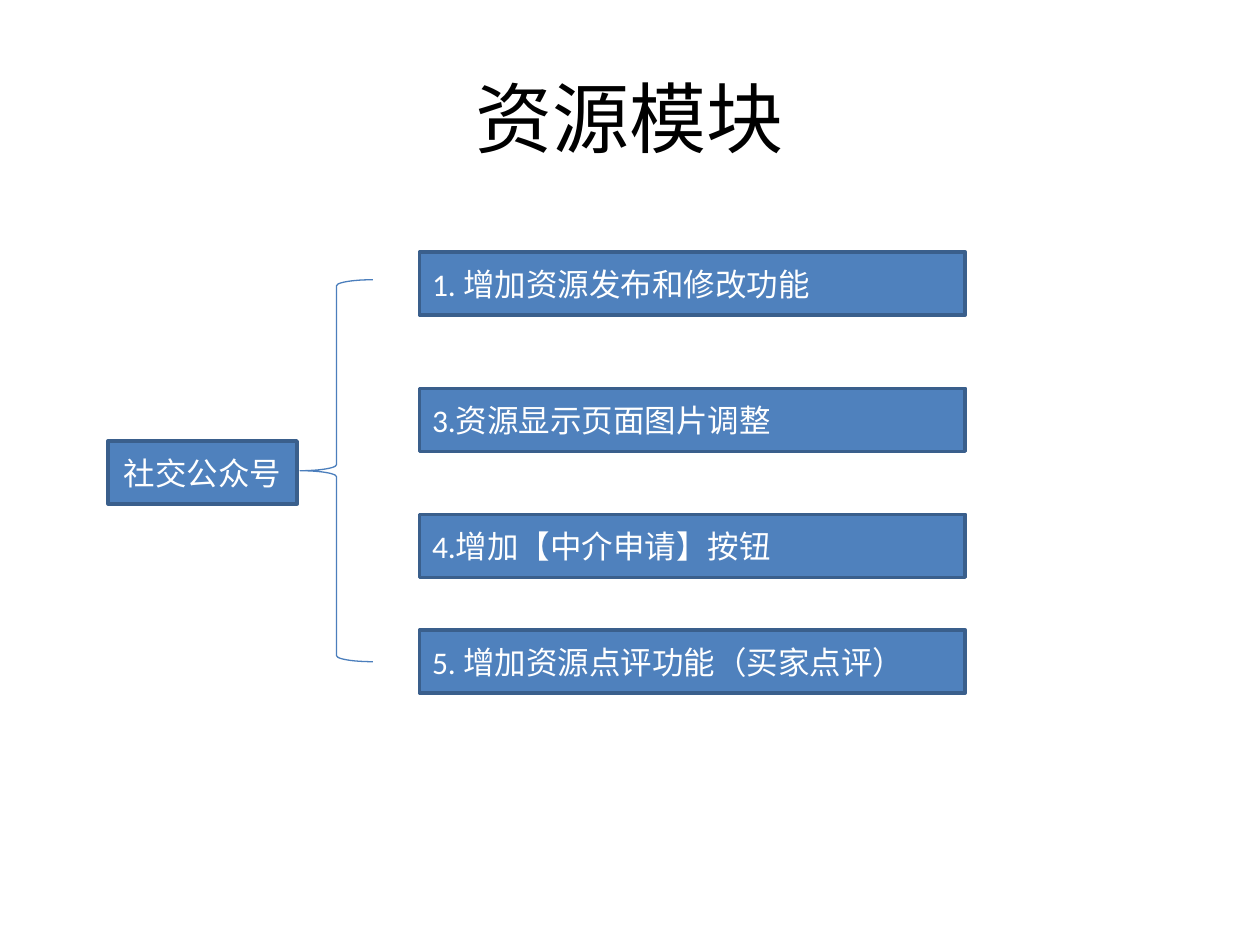
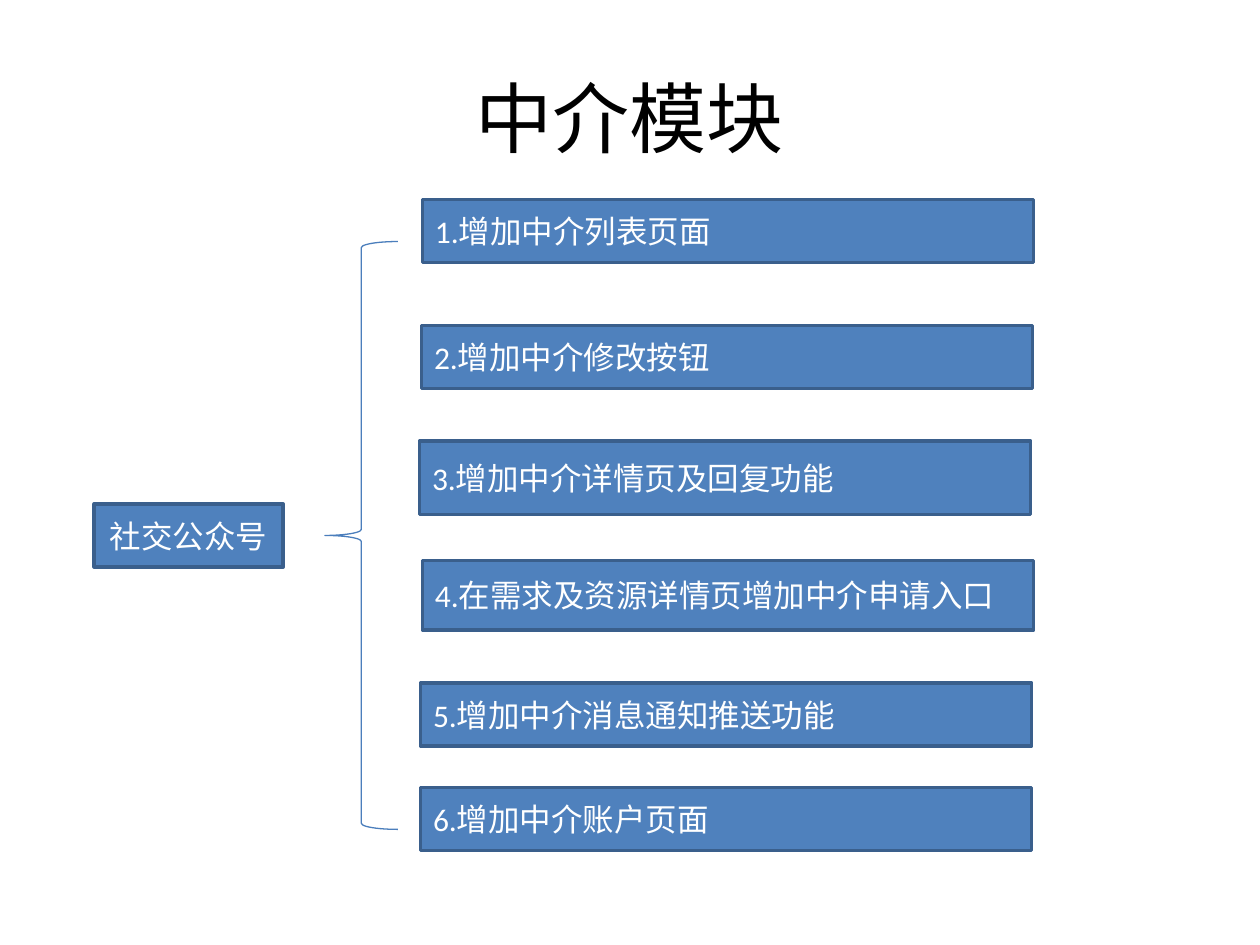
from dataclasses import dataclass

from pptx import Presentation
from pptx import util as u
from pptx.dml.color import RGBColor
from pptx.enum import shapes, text


@dataclass(frozen=True)
class Theme:
    """Colours, font and type sizes shared by the slides."""
    fill: RGBColor = RGBColor(0x4F, 0x81, 0xBD)
    border: RGBColor = RGBColor(0x3A, 0x5F, 0x8C)
    brace: RGBColor = RGBColor(0x4B, 0x7E, 0xBC)
    light: RGBColor = RGBColor(0xFF, 0xFF, 0xFF)
    dark: RGBColor = RGBColor(0, 0, 0)
    font: str = "Calibri"
    title_size: int = 44
    label_size: int = 18
    border_width: float = 2
    brace_width: float = 0.75


class Outline:
    """Draws module outlines on the current slide in one style."""

    def __init__(self, deck, theme):
        self.deck, self.theme, self.slide = deck, theme, None

    def label(self, frame, words, size, color, align):
        """Fill a text frame with one formatted paragraph."""
        frame.word_wrap = True
        frame.vertical_anchor = text.MSO_ANCHOR.MIDDLE
        paragraph = frame.paragraphs[0]
        paragraph.alignment = align
        run = paragraph.add_run()
        run.text = words
        for name, value in {"name": self.theme.font, "size": u.Pt(size)}.items():
            setattr(run.font, name, value)
        run.font.color.rgb = color

    def start(self, heading):
        """Add a title-only slide with its heading."""
        self.slide = self.deck.slides.add_slide(self.deck.slide_layouts[5])
        title = self.slide.shapes.title
        place = {"left": 1.27, "top": 0.76, "width": 22.86, "height": 3.18}
        for name, value in place.items():
            setattr(title, name, u.Cm(value))
        self.label(title.text_frame, heading, self.theme.title_size,
                   self.theme.dark, text.PP_ALIGN.CENTER)

    def outlined(self, preset, place, color, width):
        """Add a preset shape with a plain outline and no shadow."""
        shape = self.slide.shapes.add_shape(preset, *map(u.Cm, place))
        shape.shadow.inherit = False
        shape.line.color.rgb = color
        shape.line.width = u.Pt(width)
        return shape

    def box(self, words, left, top, width, height=1.27, align=text.PP_ALIGN.LEFT):
        """Add a labelled box."""
        shape = self.outlined(shapes.MSO_SHAPE.RECTANGLE, (left, top, width, height),
                              self.theme.border, self.theme.border_width)
        shape.fill.solid()
        shape.fill.fore_color.rgb = self.theme.fill
        self.label(shape.text_frame, words, self.theme.label_size,
                   self.theme.light, align)

    def channel(self, left, top):
        """Add the box that the features branch from."""
        self.box("社交公众号", left, top, 3.81, align=text.PP_ALIGN.CENTER)

    def brace(self, left, top, height):
        """Add the brace that gathers the features."""
        shape = self.outlined(shapes.MSO_SHAPE.LEFT_BRACE, (left, top, 1.47, height),
                              self.theme.brace, self.theme.brace_width)
        shape.fill.background()


MODULES = [
    {
        "heading": "资源模块",
        "channel": (2.18, 8.89),
        "brace": (6.05, 5.64, 7.7),
        "width": 11,
        "features": [
            ("1. 增加资源发布和修改功能", 8.46, 5.08, 1.27),
            ("3.资源显示页面图片调整", 8.46, 7.83, 1.27),
            ("4.增加【中介申请】按钮", 8.46, 10.37, 1.27),
            ("5. 增加资源点评功能（买家点评）", 8.46, 12.7, 1.27),
        ],
    },
    {
        "heading": "中介模块",
        "channel": (1.9, 10.16),
        "brace": (6.55, 4.87, 11.85),
        "width": 12.32,
        "features": [
            ("1.增加中介列表页面", 8.52, 4.02, 1.27),
            ("2.增加中介修改按钮", 8.5, 6.56, 1.27),
            ("3.增加中介详情页及回复功能", 8.46, 8.89, 1.48),
            ("4.在需求及资源详情页增加中介申请入口", 8.52, 11.3, 1.4),
            ("5.增加中介消息通知推送功能", 8.48, 13.77, 1.27),
            ("6.增加中介账户页面", 8.48, 15.88, 1.27),
        ],
    },
]


def main():
    """Build and save the deck."""
    deck = Presentation()
    deck.slide_width, deck.slide_height = u.Cm(25.4), u.Cm(19.05)
    outline = Outline(deck, Theme())
    for module in MODULES:
        outline.start(module["heading"])
        outline.channel(*module["channel"])
        outline.brace(*module["brace"])
        for words, left, top, height in module["features"]:
            outline.box(words, left, top, module["width"], height)
    deck.save("out.pptx")


main()
